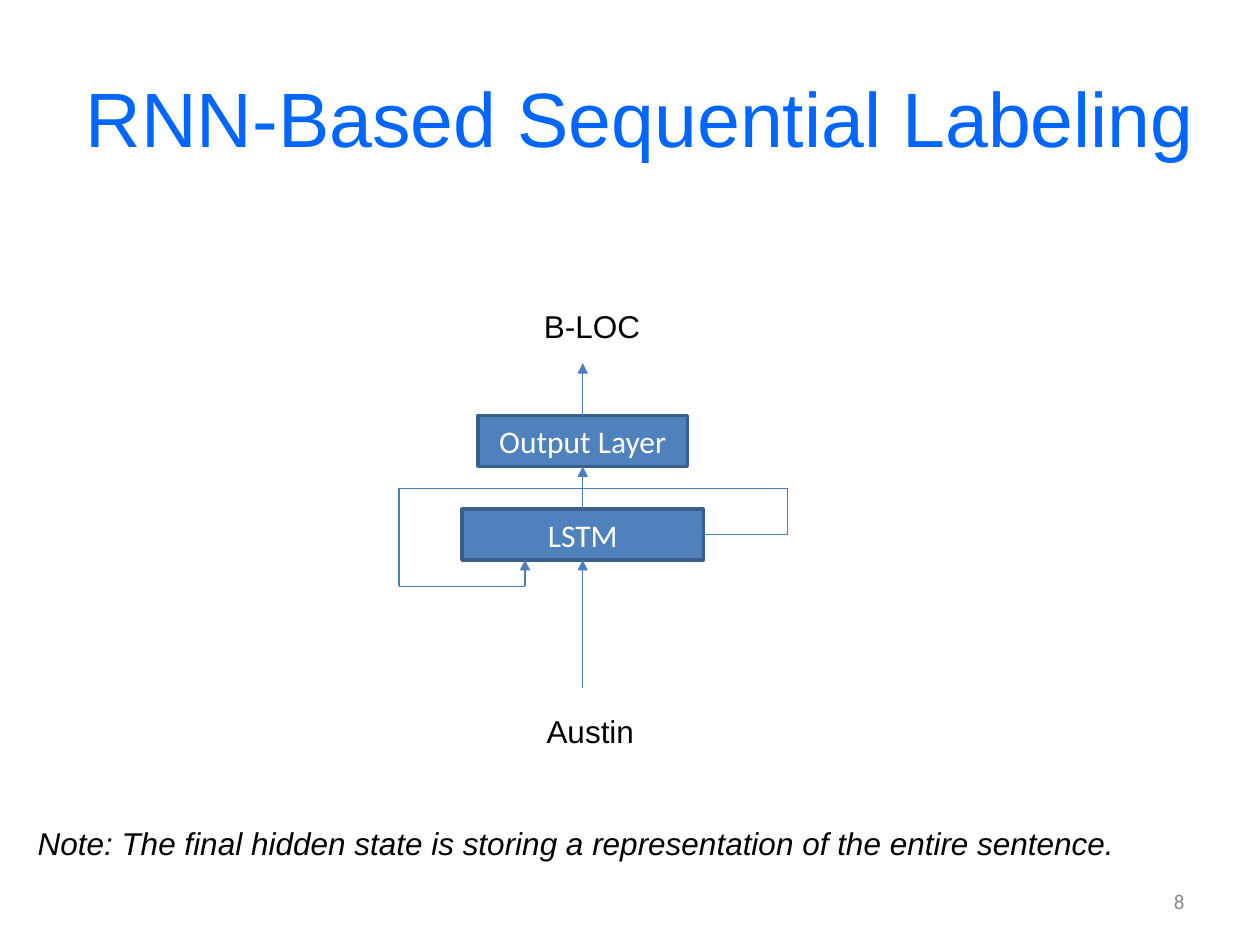
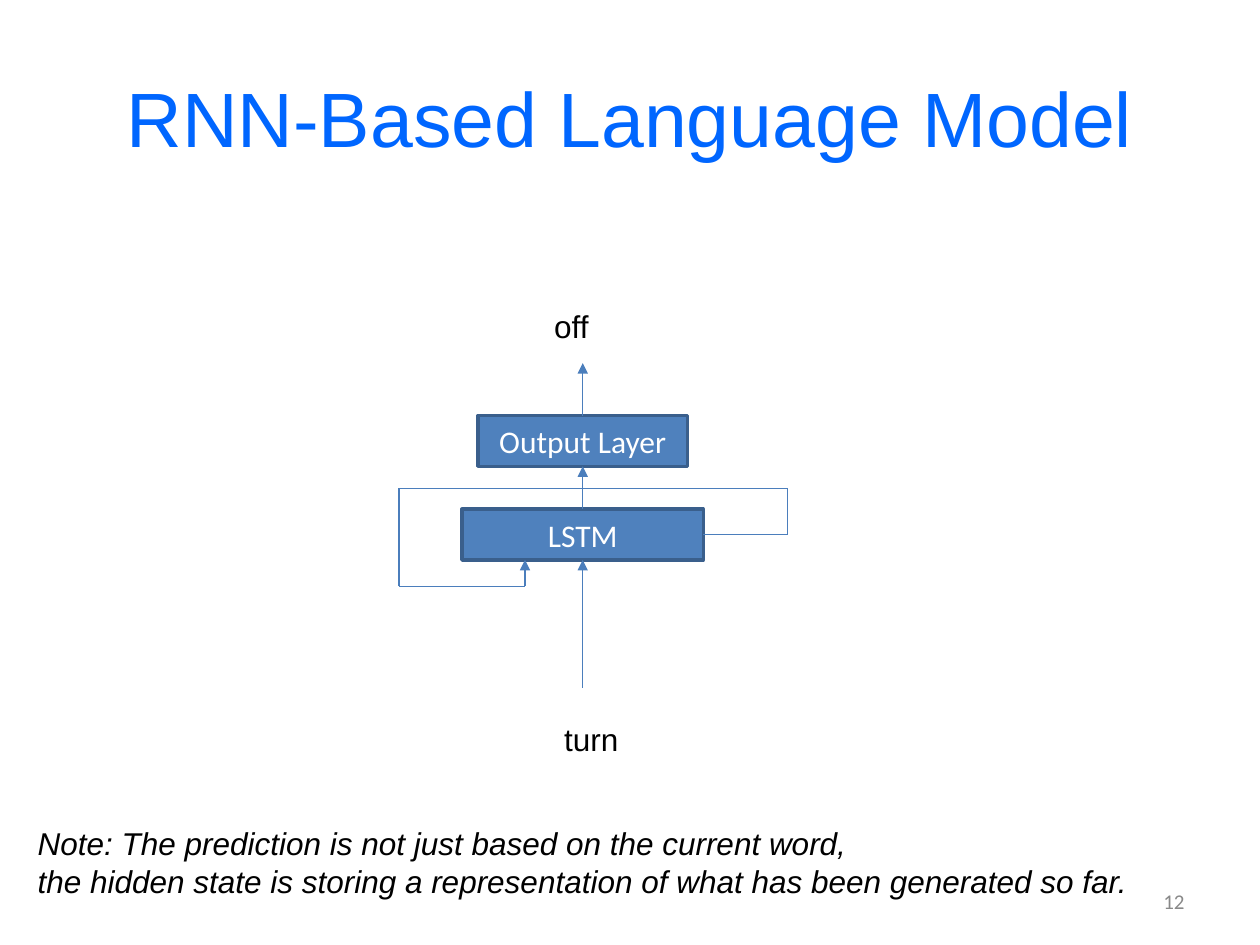
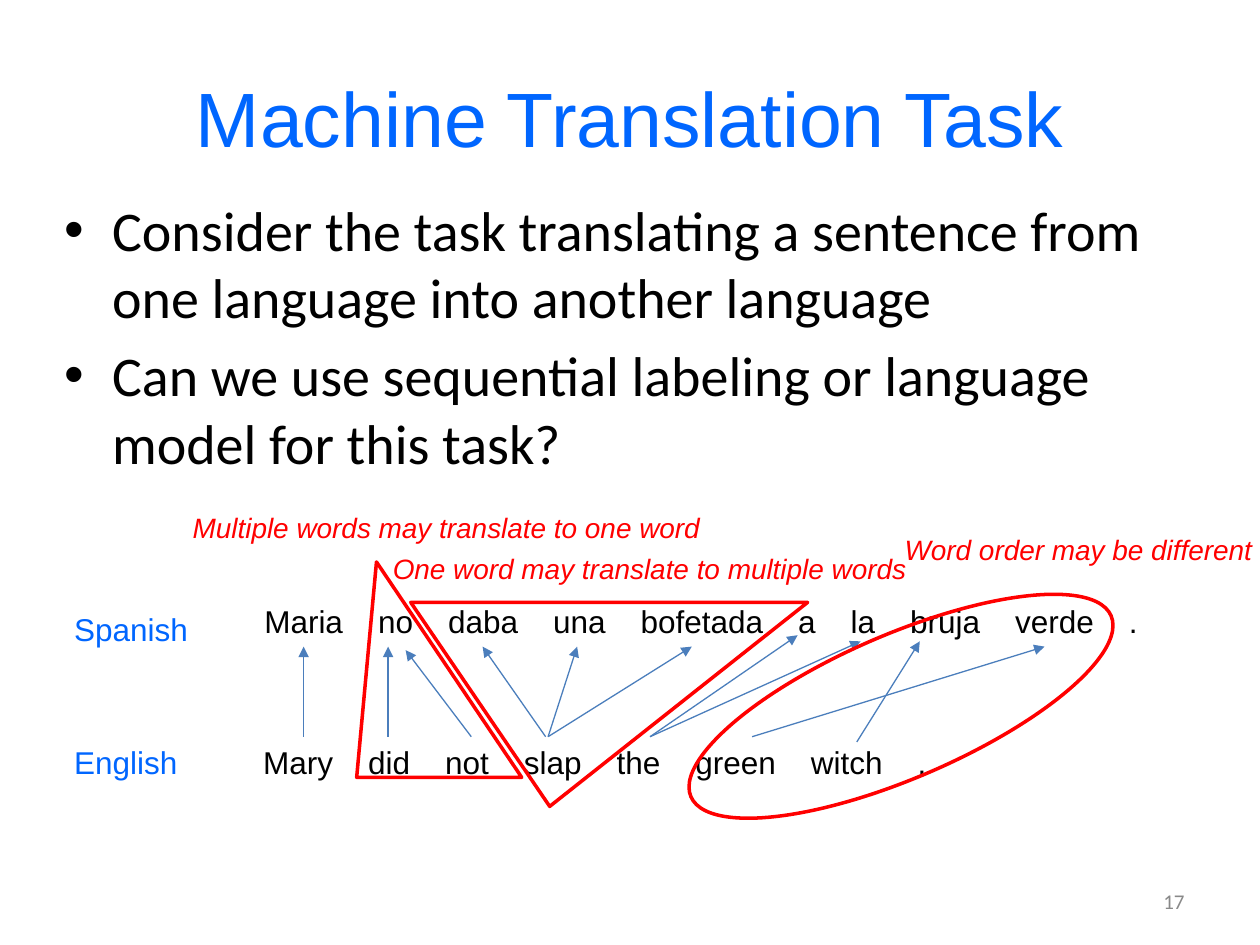
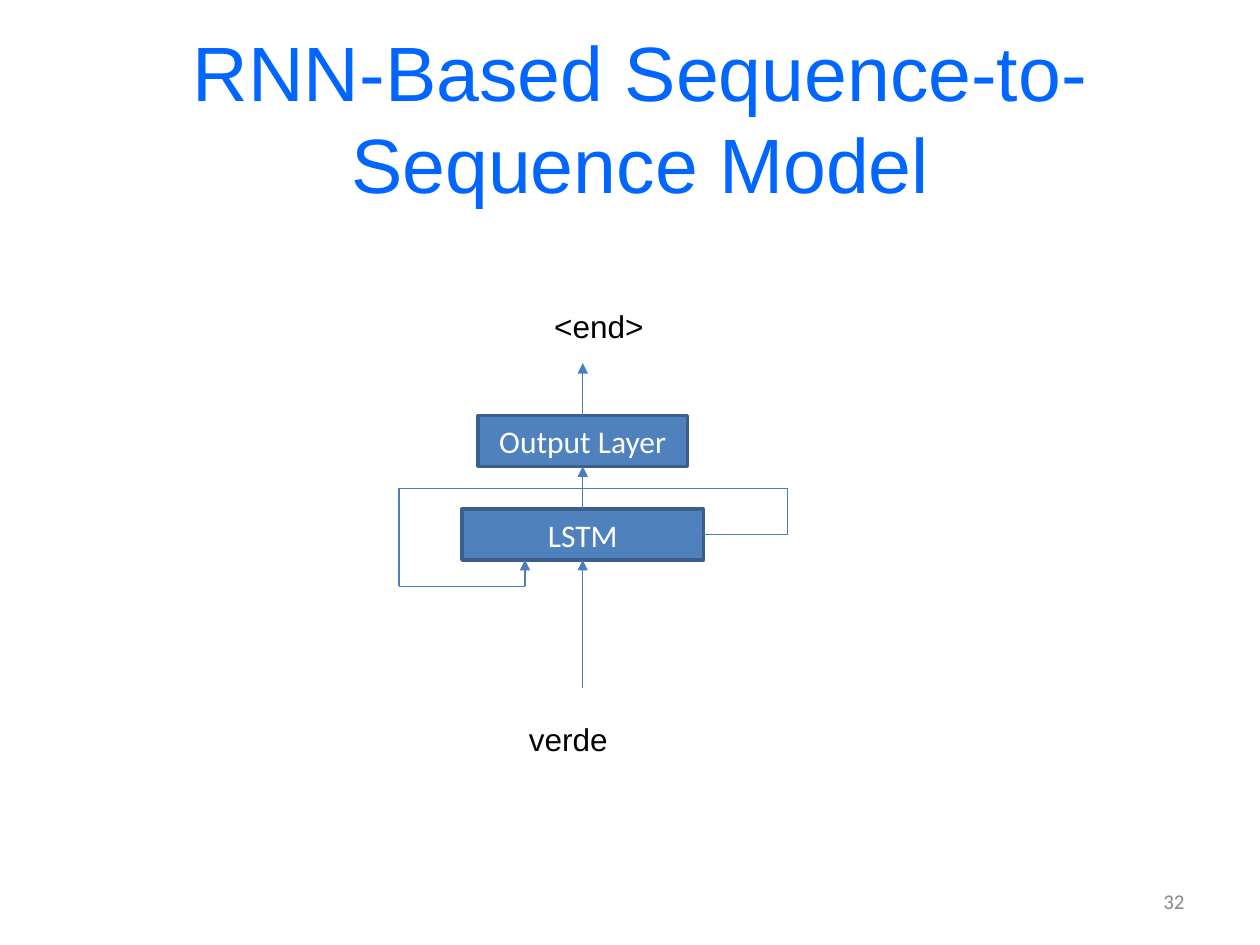
from lxml.etree import SubElement as Sub
from pptx import Presentation
from pptx.dml.color import RGBColor
from pptx.enum.shapes import MSO_CONNECTOR as Conn, MSO_SHAPE as Geo
from pptx.enum.text import MSO_ANCHOR as Anchor, MSO_AUTO_SIZE as Fit, PP_ALIGN as Align
from pptx.oxml.ns import qn
from pptx.util import Pt

rgb = RGBColor.from_string
BLUE, BLACK, GRAY, RED = "0066FF", "000000", "898989", "FF0000"
FILL, EDGE, LINK = "4F81BD", "3A5F8C", "4B7EBC"


def write(shape, text, size, color, font="Arial", align=Align.LEFT, anchor=Anchor.TOP, wrap=True, slant=False):
    frame = shape.text_frame
    frame.text = text
    frame.auto_size = Fit.NONE
    frame.word_wrap = wrap
    frame.vertical_anchor = anchor
    for para in frame.paragraphs:
        para.alignment = align
        for run in para.runs:
            run.font.name = font
            run.font.size = Pt(size)
            run.font.color.rgb = rgb(color)
            run.font.italic = slant
    return frame


def link(slide, x1, y1, x2, y2, arrow=True):
    line = slide.shapes.add_connector(Conn.STRAIGHT, Pt(x1), Pt(y1), Pt(x2), Pt(y2))
    line.line.color.rgb = rgb(LINK)
    line.line.width = Pt(0.75)
    if arrow:
        Sub(line.line._get_or_add_ln(), qn("a:tailEnd"), type="triangle")
    Sub(line._element.spPr, qn("a:effectLst"))
    return line


deck = Presentation()
deck.slide_width, deck.slide_height = Pt(720), Pt(540)

pages = []
for title, width, num in [
    ("RNN-Based Sequential Labeling", 660, "8"),
    ("RNN-Based Language Model", 648, "12"),
    ("Machine Translation Task", 648, "17"),
    ("RNN-Based Sequence-to-Sequence Model", 660, "32"),
]:
    slide = deck.slides.add_slide(deck.slide_layouts[5])
    head = slide.shapes.title
    head.left, head.top, head.width, head.height = Pt(36), Pt(21.6), Pt(width), Pt(90)
    write(head, title, 44, BLUE, align=Align.CENTER, anchor=Anchor.MIDDLE)
    foot = slide.shapes.add_textbox(Pt(516), Pt(500.5), Pt(168), Pt(28.8))
    write(foot, num, 12, GRAY, "Calibri", Align.RIGHT, Anchor.MIDDLE)
    pages.append(slide)
label, model, task, seq = pages

for slide, words in [
    (label, [
        ("Austin", 305.2, 403.2, 64.2, False),
        ("B-LOC", 303.8, 172, 69.8, False),
        ("Note: The final hidden state is storing a representation of the entire sentence.", 14.4, 467.3, 635.8, True),
    ]),
    (model, [
        ("turn", 315.3, 408.2, 46.2, False),
        ("off", 309.6, 172, 34.6, False),
        ("Note: The prediction is not just based on the current word,\n"
         "the hidden state is storing a representation of what has been generated so far.", 14.4, 467.3, 638, True),
    ]),
    (seq, [
        ("verde", 295.2, 408.2, 59.8, False),
        ("<end>", 309.6, 172, 66.2, False),
    ]),
]:
    boxes = []
    for name, x, y, width in [("LSTM", 264, 291, 138), ("Output Layer", 273, 237.5, 120)]:
        box = slide.shapes.add_shape(Geo.RECTANGLE, Pt(x), Pt(y), Pt(width), Pt(29))
        box.shadow.inherit = False
        box.fill.solid()
        box.fill.fore_color.rgb = rgb(FILL)
        box.line.color.rgb = rgb(EDGE)
        box.line.width = Pt(2)
        write(box, name, 18, "FFFFFF", "Calibri", Align.CENTER, Anchor.MIDDLE)
        boxes.append(box)
    cell, out = boxes

    link(slide, 333, 237.5, 333, 207.5).begin_connect(out, 0)
    link(slide, 333, 393, 333, 320).end_connect(cell, 2)
    rise = link(slide, 333, 291, 333, 266.5)
    rise.begin_connect(cell, 0)
    rise.end_connect(out, 2)

    loop = [(402, 305.5), (450, 305.5), (450, 279), (228, 279), (228, 335), (300, 335), (300, 320)]
    sides = [link(slide, *a, *b, arrow=b == loop[-1]) for a, b in zip(loop, loop[1:])]
    sides[0].begin_connect(cell, 3)

    for text, x, y, width, slant in words:
        height = 28.8 + 22.2 * text.count("\n")
        box = slide.shapes.add_textbox(Pt(x), Pt(y), Pt(width), Pt(height))
        write(box, text, 18, BLACK, wrap=False, slant=slant)

body = task.shapes.add_textbox(Pt(30), Pt(108), Pt(648), Pt(356))
points = write(body, "Consider the task translating a sentence from one language into another language\n"
               "Can we use sequential labeling or language model for this task?", 32, BLACK, "Calibri")
for i, para in enumerate(points.paragraphs):
    para.space_before = Pt(6.4 if i else 0)
    props = para._p.get_or_add_pPr()
    props.set("marL", str(Pt(27)))
    props.set("indent", str(Pt(-27)))
    Sub(props, qn("a:buFont"), typeface="Arial")
    Sub(props, qn("a:buChar"), char="•")

for text, x, y, width, stops in [
    ("Mary did not slap the green witch .", 143.3, 421.2, 455.8, [60, 104, 149, 202, 247, 313, 374]),
    ("Maria no daba una bofetada a la bruja verde .", 144, 340.6, 516.2,
     [65, 105, 165, 215, 305, 335, 369, 429, 494]),
]:
    row = task.shapes.add_textbox(Pt(x), Pt(y), Pt(width), Pt(28.8))
    para = write(row, text.replace(" ", "\t"), 18, BLACK).paragraphs[0]
    tabs = Sub(para._p.get_or_add_pPr(), qn("a:tabLst"))
    for stop in stops:
        Sub(tabs, qn("a:tab"), pos=str(Pt(stop)), algn="l")

for text, y, width in [("English", 421.2, 74.2), ("Spanish", 344.9, 79.9)]:
    box = task.shapes.add_textbox(Pt(35.3), Pt(y), Pt(width), Pt(28.8))
    write(box, text, 18, BLUE)

for x1, y1, x2, y2 in [
    (173.5, 421, 173.5, 369.5), (221.8, 421, 221.8, 369.5), (269.3, 421, 231.8, 371.5),
    (311.8, 421, 275.8, 369.5), (313.2, 421, 329.8, 369.5), (313.2, 421, 395.3, 369.5),
    (371.5, 421, 455.8, 363), (371.5, 421, 491.8, 366.5), (429.8, 421, 596.9, 369.5),
    (489.6, 424, 525.6, 366.5),
]:
    link(task, x1, y1, x2, y2)

for geo, x, y, width, height, turn, peak in [
    (Geo.ISOSCELES_TRIANGLE, 203.8, 321.1, 94.3, 123.1, 0, 0.12),
    (Geo.ISOSCELES_TRIANGLE, 234.7, 344.2, 226.8, 116.6, 180, 0.65),
    (Geo.OVAL, 473.8, 272.9, 82.1, 261.4, 66.7, None),
]:
    mark = task.shapes.add_shape(geo, Pt(x), Pt(y), Pt(width), Pt(height))
    mark.shadow.inherit = False
    mark.fill.background()
    mark.line.color.rgb = rgb(RED)
    mark.line.width = Pt(2)
    mark.rotation = turn
    if peak:
        mark.adjustments[0] = peak

for text, x, y, width in [
    ("Multiple words may translate to one word", 103, 288, 308.2),
    ("One word may translate to multiple words", 217.4, 311.8, 311.8),
    ("Word order may be different", 509.8, 301, 215.3),
]:
    box = task.shapes.add_textbox(Pt(x), Pt(y), Pt(width), Pt(26.6))
    write(box, text, 16, RED, wrap=False, slant=True)

deck.save("out.pptx")
